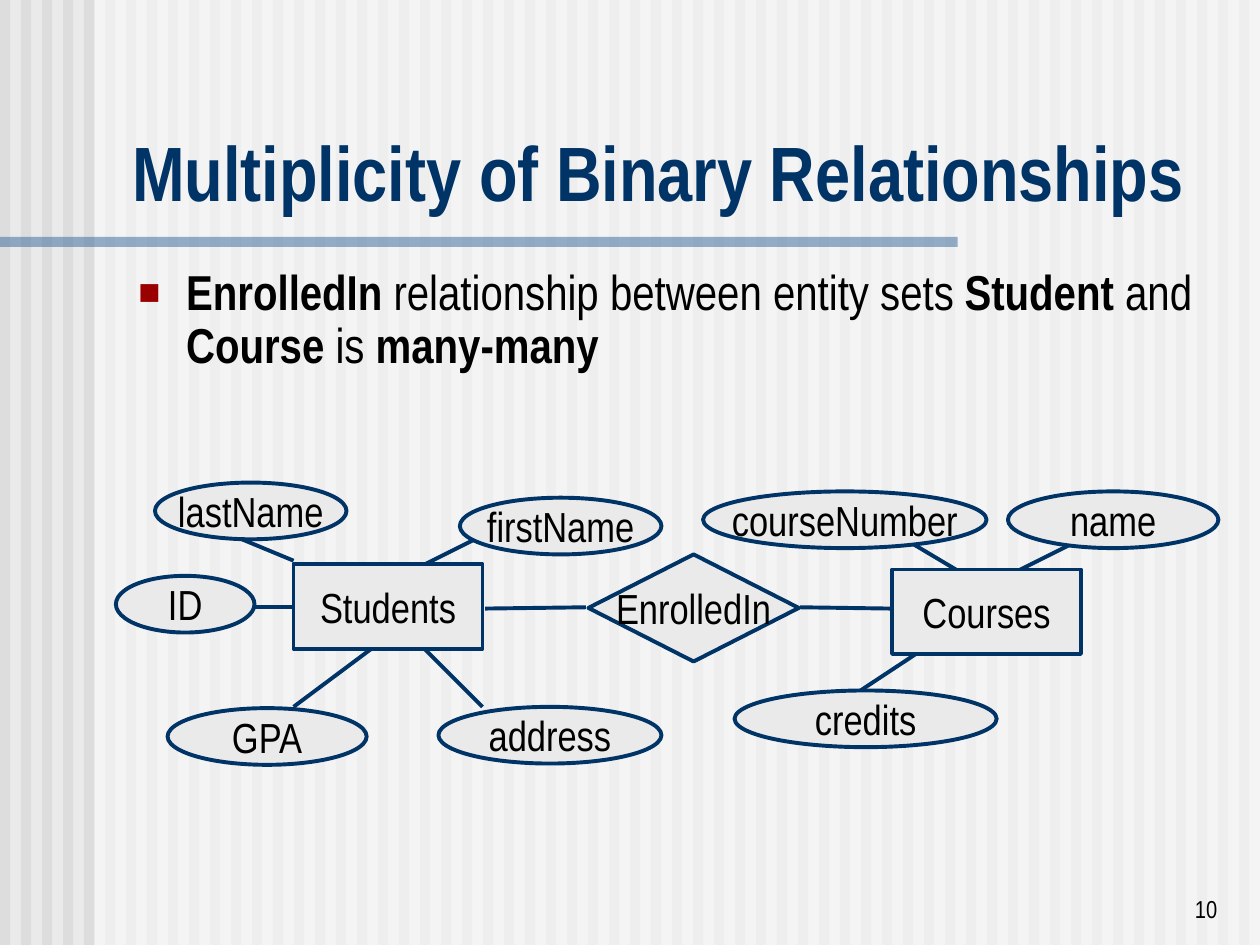
import pptx
import pptx.util
import pptx.dml.color
import pptx.enum.shapes
import pptx.enum.text
import pptx.oxml
import pptx.oxml.ns
from lxml import etree

Inches, Pt = pptx.util.Inches, pptx.util.Pt
SHAPE = pptx.enum.shapes.MSO_SHAPE
ALIGN = pptx.enum.text.PP_ALIGN
ANCHOR = pptx.enum.text.MSO_ANCHOR

FONT = "Arial Narrow"
NAVY, BLACK, PAPER, STRIPE = "003366", "000000", "EAEAEA", "DDDDDD"

# Content: (text, bold) runs
TITLE = [("Multiplicity of Binary Relationships", True)]
STATEMENT = [
    ("EnrolledIn", True), (" relationship between entity sets ", False),
    ("Student", True), (" and ", False), ("Course", True),
    (" is ", False), ("many-many", True),
]
PAGE_NUMBER = [("10", False)]

# Diagram nodes: label and left, top, width, height
ATTRIBUTE_HEIGHT = 0.45
ENTITIES = [("Students", 2.33, 4.48, 1.5, 0.67), ("Courses", 7.08, 4.52, 1.5, 0.67)]
RELATIONSHIPS = [("EnrolledIn", 4.67, 4.4, 1.67, 0.85)]
ATTRIBUTES = [(*place, ATTRIBUTE_HEIGHT) for place in [
    ("lastName", 1.23, 3.83, 1.52), ("firstName", 3.65, 3.95, 1.6),
    ("ID", 0.92, 4.57, 1.1), ("GPA", 1.33, 5.62, 1.58),
    ("address", 3.48, 5.61, 1.77), ("courseNumber", 5.58, 3.9, 2.25),
    ("name", 8, 3.9, 1.67), ("credits", 5.83, 5.48, 2.08),
]]

# Links: start x, start y, end x, end y
LINKS = [
    (4.65, 4.82, 3.85, 4.83), (6.35, 4.82, 7.07, 4.83),
    (7.33, 5.15, 6.83, 5.48), (7.25, 4.32, 7.67, 4.57),
    (8.5, 4.32, 8, 4.57), (2.33, 5.61, 3, 5.11),
    (3.83, 5.61, 3.33, 5.11), (2, 4.82, 2.33, 4.82),
    (3.75, 4.29, 3.25, 4.54), (1.92, 4.28, 2.33, 4.45),
]


def color(value):
    return pptx.dml.color.RGBColor.from_string(value)


def add_shape(slide, kind, place, fill, line=None, alpha=None):
    shape = slide.shapes.add_shape(kind, *map(Inches, place))
    shape.shadow.inherit = False
    shape.fill.solid()
    shape.fill.fore_color.rgb = color(fill)
    if alpha is not None:
        fill_color = shape.fill._xPr.find(".//" + pptx.oxml.ns.qn("a:srgbClr"))
        etree.SubElement(fill_color, pptx.oxml.ns.qn("a:alpha"), val=str(alpha * 1000))
    if line:
        shape.line.color.rgb = color(line)
        shape.line.width = Pt(2.25)
    else:
        shape.line.fill.background()
    return shape


def add_link(slide, ends):
    link = slide.shapes.add_connector(
        pptx.enum.shapes.MSO_CONNECTOR.STRAIGHT, *map(Inches, ends))
    link.line.color.rgb = color(NAVY)
    link.line.width = Pt(2.25)
    etree.SubElement(link._element.spPr, pptx.oxml.ns.qn("a:effectLst"))


def add_bullet(paragraph, character, bullet_color, percent, indent):
    properties = paragraph._p.get_or_add_pPr()
    properties.set("marL", str(Inches(indent)))
    properties.set("indent", str(-Inches(indent)))
    namespace = pptx.oxml.ns.nsdecls("a")
    for xml in (
        f'<a:buClr {namespace}><a:srgbClr val="{bullet_color}"/></a:buClr>',
        f'<a:buSzPct {namespace} val="{percent * 1000}"/>',
        f'<a:buFont {namespace} typeface="Arial"/>',
        f'<a:buChar {namespace} char="{character}"/>',
    ):
        properties.append(pptx.oxml.parse_xml(xml))


def write_text(shape, runs, size, text_color=BLACK, align=ALIGN.LEFT,
               anchor=ANCHOR.TOP, wrap=True, line_spacing=None, bullet=None):
    frame = shape.text_frame
    frame.word_wrap = wrap
    frame.vertical_anchor = anchor
    paragraph = frame.paragraphs[0]
    paragraph.alignment = align
    if line_spacing:
        paragraph.line_spacing = line_spacing
    if bullet:
        add_bullet(paragraph, **bullet)
    for text, bold in runs:
        run = paragraph.add_run()
        run.text = text
        run.font.name = FONT
        run.font.size = Pt(size)
        run.font.bold = bold
        run.font.color.rgb = color(text_color)


def add_text(slide, place, runs, size, **formatting):
    box = slide.shapes.add_textbox(*map(Inches, place))
    write_text(box, runs, size, **formatting)


def main():
    presentation = pptx.Presentation()
    presentation.slide_width, presentation.slide_height = Inches(10), Inches(7.5)
    slide = presentation.slides.add_slide(presentation.slide_layouts[6])

    # Striped background, white veil and rule under the title
    slide.background.fill.solid()
    slide.background.fill.fore_color.rgb = color(PAPER)
    for index in range(60):
        add_shape(slide, SHAPE.RECTANGLE, (index / 6, 0, 0.08, 7.5), STRIPE)
    add_shape(slide, SHAPE.RECTANGLE, (0.75, 0, 9.25, 7.5), "FFFFFF", alpha=50)
    add_shape(slide, SHAPE.RECTANGLE, (0, 1.88, 7.6, 0.08), "336699", alpha=50)

    # Title, statement and page number
    add_text(slide, (0.95, 0.94, 8.93, 0.83), TITLE, 44,
             text_color=NAVY, anchor=ANCHOR.BOTTOM)
    add_text(slide, (1, 2.08, 8.87, 1.17), STATEMENT, 28, line_spacing=0.9,
             bullet={"character": "■", "bullet_color": "9A0000",
                     "percent": 75, "indent": 0.38})
    add_text(slide, (7.68, 6.88, 2.08, 0.5), PAGE_NUMBER, 14,
             align=ALIGN.RIGHT, anchor=ANCHOR.BOTTOM)

    # Entity-relationship diagram, links behind nodes
    for ends in LINKS:
        add_link(slide, ends)
    for kind, nodes in ((SHAPE.RECTANGLE, ENTITIES), (SHAPE.DIAMOND, RELATIONSHIPS),
                        (SHAPE.OVAL, ATTRIBUTES)):
        for label, *place in nodes:
            node = add_shape(slide, kind, place, PAPER, line=NAVY)
            write_text(node, [(label, False)], 24, align=ALIGN.CENTER,
                       anchor=ANCHOR.MIDDLE, wrap=False)

    presentation.save("out.pptx")


if __name__ == "__main__":
    main()
